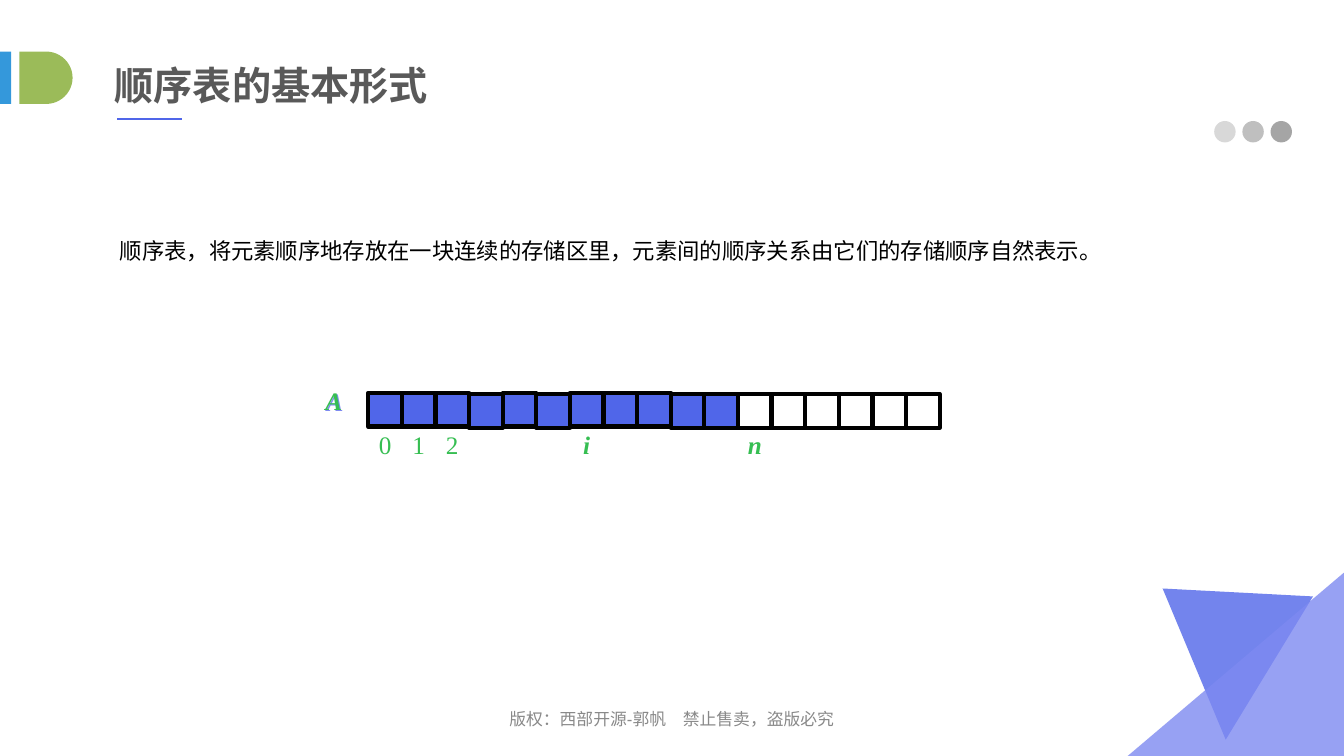
from lxml.etree import SubElement
from pptx import Presentation
from pptx.dml.color import RGBColor
from pptx.enum.shapes import MSO_CONNECTOR, MSO_SHAPE as Shape
from pptx.enum.text import MSO_ANCHOR as Anchor, PP_ALIGN as Align
from pptx.oxml.ns import qn
from pptx.util import Cm, Pt

CJK, LATIN, SERIF = "Noto Sans CJK SC", "Arial", "Times New Roman"
BLUE, LILAC, GREEN = "5066E9", "7E8AF1", "36BE52"


def color(hex_text):
    return RGBColor.from_string(hex_text)


def add_text(page, text, left, top, width, height, *, size, ink, font=LATIN,
             bold=False, italic=False, align=Align.LEFT, anchor=Anchor.TOP,
             spacing=1.0, inset=(0.25, 0.13)):
    box = page.shapes.add_textbox(Cm(left), Cm(top), Cm(width), Cm(height))
    frame = box.text_frame
    frame.word_wrap = True
    frame.vertical_anchor = anchor
    frame.margin_left = frame.margin_right = Cm(inset[0])
    frame.margin_top = frame.margin_bottom = Cm(inset[1])
    para = frame.paragraphs[0]
    para.alignment = align
    para.line_spacing = spacing
    span = para.add_run()
    span.text = text
    span.font.name, span.font.size = font, Pt(size)
    span.font.bold, span.font.italic = bold, italic
    span.font.color.rgb = color(ink)
    SubElement(span.font._element, qn("a:ea")).set("typeface", CJK)


def paint(shape, fill, line=None, line_width=3, alpha=None):
    shape.shadow.inherit = False
    shape.fill.solid()
    shape.fill.fore_color.rgb = color(fill)
    if alpha is not None:
        tint = shape.fill._xPr.find(qn("a:solidFill"))[0]
        SubElement(tint, qn("a:alpha")).set("val", str(alpha * 1000))
    if line:
        shape.line.color.rgb = color(line)
        shape.line.width = Pt(line_width)
    else:
        shape.line.fill.background()


def add_block(page, kind, left, top, width, height, fill, line=None):
    shape = page.shapes.add_shape(kind, Cm(left), Cm(top), Cm(width), Cm(height))
    paint(shape, fill, line)


def add_corner_triangles(page, left, top, width, height):
    """Two overlapping translucent triangles that fill the lower right corner."""
    right, bottom = left + width, top + height
    triangles = (
        (BLUE, [(right - 0.78, top + 0.6), (left + 2.47, top + 4.21), (left + 0.88, top + 0.4)]),
        (LILAC, [(right, bottom), (left, bottom), (right, top)]),
    )
    for fill, corners in triangles:
        start, *others = [(Cm(x), Cm(y)) for x, y in corners]
        outline = page.shapes.build_freeform(*start)
        outline.add_line_segments(others, close=True)
        paint(outline.convert_to_shape(), fill, alpha=80)


def add_header(page, left, top, width, height):
    add_text(page, "顺序表的基本形式", left + 2.64, top + 0.02, 12.2, 1.63, size=28,
             ink="595959", font=CJK, bold=True, anchor=Anchor.MIDDLE)
    add_block(page, Shape.RECTANGLE, left, top, 0.28, 1.32, "3498DB")
    add_block(page, Shape.FLOWCHART_DELAY, left + 0.49, top, 1.34, 1.32, "9BBB59")
    dot, pitch = 0.54, 0.71
    for index, gray in enumerate(("D8D8D8", "BFBFBF", "A5A5A5")):
        add_block(page, Shape.OVAL, left + width - dot - (2 - index) * pitch,
                  top + height - dot, dot, dot, gray)
    rule_y = Cm(top + 1.7)
    rule = page.shapes.add_connector(MSO_CONNECTOR.STRAIGHT, Cm(left + 2.95), rule_y,
                                     Cm(left + 4.6), rule_y)
    rule.line.color.rgb = color(BLUE)
    rule.line.width = Pt(1.5)
    SubElement(rule._element.spPr, qn("a:effectLst"))


def add_array(page, left, top, width, height):
    """Storage row A: used cells are blue, free cells white, indexes below."""
    cell_count, used_count = 17, 11
    raised_cells = {0, 1, 2, 4, 6, 7, 8}
    cell = width / cell_count
    label = dict(size=18, font=SERIF, align=Align.CENTER, inset=(0, 0))

    for shift, ink in ((0.03, LILAC), (0, GREEN)):
        add_text(page, "A", left - 1.27 + shift, top - 0.23 + shift, 0.81, 0.76,
                 ink=ink, bold=True, italic=True, **label)
    # Raised cells come last so that their borders lie on top
    for index in sorted(range(cell_count), key=lambda i: i in raised_cells):
        lift = 0.03 if index in raised_cells else 0
        fill = BLUE if index < used_count else "FFFFFF"
        add_block(page, Shape.RECTANGLE, left + index * cell, top - lift,
                  cell, height, fill, "000000")
    for index, text in {0: "0", 1: "1", 2: "2", 6: "i", used_count: "n"}.items():
        variable = text.isalpha()
        add_text(page, text, left + index * cell, top + height + 0.04, cell, 0.76,
                 ink=GREEN, bold=variable, italic=variable, **label)


def main():
    deck = Presentation()
    deck.slide_width, deck.slide_height = Cm(33.87), Cm(19.05)
    page = deck.slides.add_slide(deck.slide_layouts[6])
    add_text(page, "版权：西部开源-郭帆　禁止售卖，盗版必究", 11.43, 17.63, 11, 0.89,
             size=12, ink="898989", align=Align.CENTER, anchor=Anchor.MIDDLE, spacing=1.2)
    add_corner_triangles(page, 28.42, 14.43, 5.45, 4.62)
    add_header(page, 0, 1.3, 32.56, 2.29)
    add_array(page, 9.28, 9.93, 14.4, 0.85)
    add_text(page, "顺序表，将元素顺序地存放在一块连续的存储区里，元素间的顺序关系由它们的存储顺序自然表示。",
             2.77, 5.51, 28.98, 1.27, size=16, ink="000000", spacing=1.5)
    deck.save("out.pptx")


if __name__ == "__main__":
    main()
